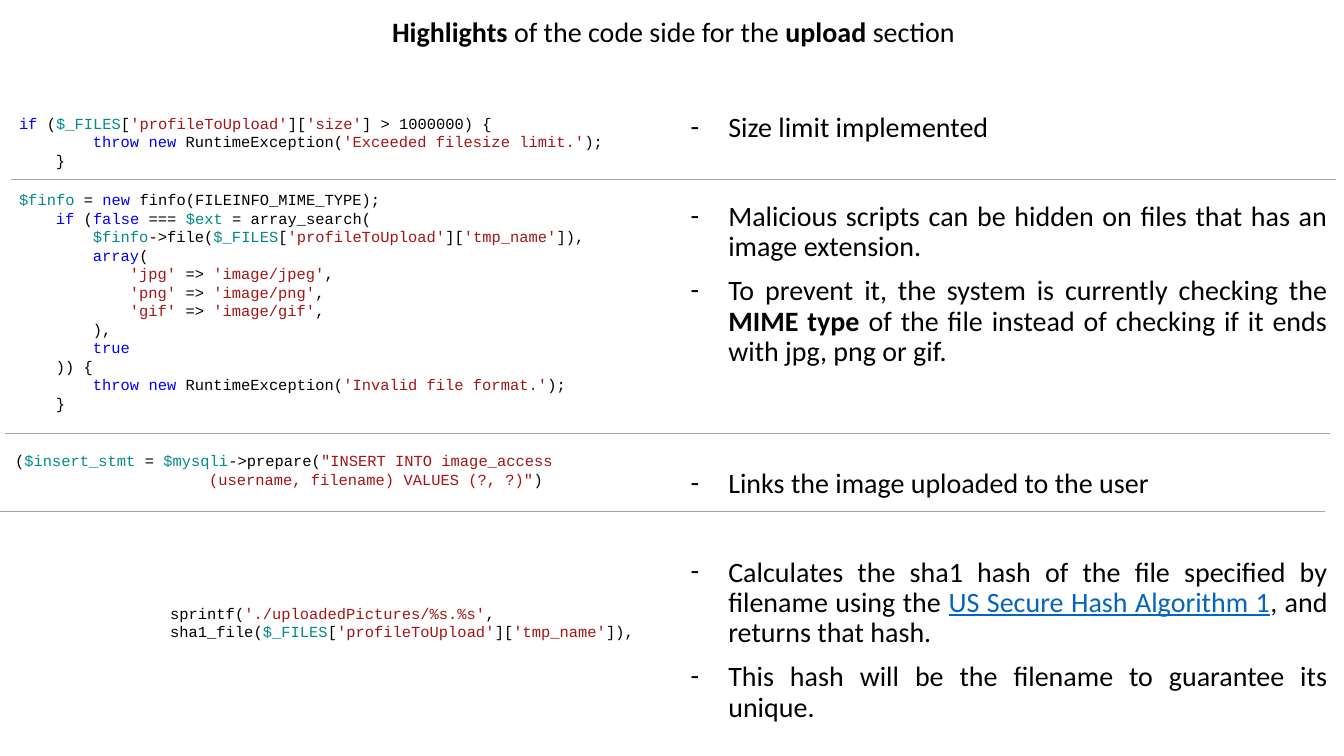
from itertools import groupby

from lxml.etree import SubElement
from pptx import Presentation
from pptx.dml.color import RGBColor
from pptx.enum.shapes import MSO_CONNECTOR as Connector
from pptx.enum.text import MSO_ANCHOR as Anchor, MSO_AUTO_SIZE as AutoSize, PP_ALIGN as Align
from pptx.oxml.ns import qn
from pptx.util import Cm, Pt

COLORS = {
    "text": "000000",
    "keyword": "0000FF",
    "variable": "008B8B",
    "string": "A31515",
    "link": "0563C1",
    "rule": "A5A5A5",
}
KEYWORDS = {"if", "throw", "new", "false", "true", "array"}
CODE_SIZE = 11
CHAR_WIDTH = Pt(CODE_SIZE * 0.6)  # one Courier New character

SIZE_CHECK = """\
if ($_FILES['profileToUpload']['size'] > 1000000) {
        throw new RuntimeException('Exceeded filesize limit.');
    }"""

MIME_CHECK = """\
$finfo = new finfo(FILEINFO_MIME_TYPE);
    if (false === $ext = array_search(
        $finfo->file($_FILES['profileToUpload']['tmp_name']),
        array(
            'jpg' => 'image/jpeg',
            'png' => 'image/png',
            'gif' => 'image/gif',
        ),
        true
    )) {
        throw new RuntimeException('Invalid file format.');
    }"""

INSERT = ('($insert_stmt = $mysqli->prepare("INSERT INTO image_access '
          '(username, filename) VALUES (?, ?)")')

HASH_NAME = ("sprintf('./uploadedPictures/%s.%s', "
             "sha1_file($_FILES['profileToUpload']['tmp_name']),")

TITLE = [("Highlights ", "bold"), ("of the code side for the ", ""),
         ("upload ", "bold"), ("section", "")]

# Space before each note in points, then its text pieces
NOTES = [
    (10, [("Size limit implemented", "")]),
    (41.5, [("Malicious scripts can be hidden on files that has an image extension.", "")]),
    (10, [("To prevent it, the system is currently checking the ", ""),
          ("MIME type ", "bold"),
          ("of the file instead of checking if it ends with jpg, png or gif.", "")]),
    (73, [("Links the image uploaded to the user", "")]),
    (41.5, [("Calculates the sha1 hash of the file specified by filename using the ", ""),
            ("US Secure Hash Algorithm 1", "link"),
            (", and returns that hash.", "")]),
    (10, [("This hash will be the filename to guarantee its unique.", "")]),
]


def tokens(line):
    """Yield (text, colour name) pairs of a line of PHP."""
    quote = '"' if '"' in line else "'"
    for number, part in enumerate(line.split(quote)):
        if number % 2:
            yield quote + part + quote, "string"
            continue
        for _, chars in groupby(part, lambda c: c.isalnum() or c in "_$"):
            word = "".join(chars)
            kind = "keyword" if word in KEYWORDS else "text"
            yield word, "variable" if word.startswith("$") else kind


class CodeSlide:
    font, code_font, size = "Calibri", "Courier New", 20

    def __init__(self, deck):
        self.slide = deck.slides.add_slide(deck.slide_layouts[1])

    def place(self, shape, left, top, width, height):
        shape.left, shape.top = Cm(left), Cm(top)
        shape.width, shape.height = Cm(width), Cm(height)

    def run(self, paragraph, text, font, size, color):
        run = paragraph.add_run()
        run.text = text
        run.font.name, run.font.size = font, Pt(size)
        run.font.color.rgb = RGBColor.from_string(COLORS[color])
        return run

    def prose(self, paragraph, pieces):
        paragraph.line_spacing = 0.9
        for text, style in pieces:
            color = "link" if style == "link" else "text"
            run = self.run(paragraph, text, self.font, self.size, color)
            run.font.bold = style == "bold"
            run.font.underline = style == "link"

    def indent(self, paragraph, left, first=0):
        props = paragraph._p.get_or_add_pPr()
        props.set("marL", str(int(left)))
        props.set("indent", str(int(first)))
        return props

    def title(self, pieces, *box):
        heading = self.slide.shapes.title
        self.place(heading, *box)
        frame = heading.text_frame
        frame.vertical_anchor, frame.auto_size = Anchor.MIDDLE, AutoSize.NONE
        frame.paragraphs[0].alignment = Align.CENTER
        self.prose(frame.paragraphs[0], pieces)

    def notes(self, items, *box):
        body = self.slide.placeholders[1]
        self.place(body, *box)
        frame = body.text_frame
        frame.auto_size = AutoSize.NONE
        for number, (gap, pieces) in enumerate(items):
            note = frame.add_paragraph() if number else frame.paragraphs[0]
            note.alignment, note.space_before = Align.JUSTIFY, Pt(gap)
            self.prose(note, pieces)
            props = self.indent(note, Cm(0.95), -Cm(0.95))
            SubElement(props, qn("a:buFont")).set("typeface", self.font)
            SubElement(props, qn("a:buChar")).set("char", "-")

    def code(self, source, left, top, width, height, margin=0, first=0, right=0.25):
        box = self.slide.shapes.add_textbox(Cm(left), Cm(top), Cm(width), Cm(height))
        frame = box.text_frame
        frame.word_wrap, frame.auto_size = True, AutoSize.SHAPE_TO_FIT_TEXT
        frame.margin_right = Cm(right)
        for number, line in enumerate(source.splitlines()):
            paragraph = frame.add_paragraph() if number else frame.paragraphs[0]
            statement = line.lstrip()
            depth = len(line) - len(statement)
            self.indent(paragraph, margin + depth * CHAR_WIDTH, first)
            for color, group in groupby(tokens(statement), lambda token: token[1]):
                text = "".join(word for word, _ in group)
                self.run(paragraph, text, self.code_font, CODE_SIZE, color)

    def rule(self, left, top, width):
        line = self.slide.shapes.add_connector(
            Connector.STRAIGHT, Cm(left), Cm(top), Cm(left + width), Cm(top))
        line.line.color.rgb = RGBColor.from_string(COLORS["rule"])
        line.line.width = Pt(0.5)
        SubElement(line._element.spPr, qn("a:effectLst"))


def main():
    deck = Presentation()
    deck.slide_width, deck.slide_height = Cm(33.87), Cm(19.05)
    page = CodeSlide(deck)

    # Title and explanations
    page.title(TITLE, 0.23, 0.23, 33.48, 1.24)
    page.notes(NOTES, 17.15, 2.74, 16.56, 15.65)

    # Code excerpts; the SQL statement wraps to a hanging indent
    page.code(SIZE_CHECK, 0.23, 2.74, 16.94, 1.68)
    page.code(MIME_CHECK, 0.23, 4.67, 16.94, 5.89)
    hang = 21 * CHAR_WIDTH
    page.code(INSERT, 0.13, 11.25, 16.84, 1.19, margin=hang, first=-hang, right=1.2)
    page.code(HASH_NAME, 0.23, 15.09, 16.94, 1.19, margin=Cm(3.81))

    # Section dividers
    for left, top in [(0.28, 4.52), (0.13, 10.92), (0, 12.88)]:
        page.rule(left, top, 33.38)

    deck.save("out.pptx")


if __name__ == "__main__":
    main()
